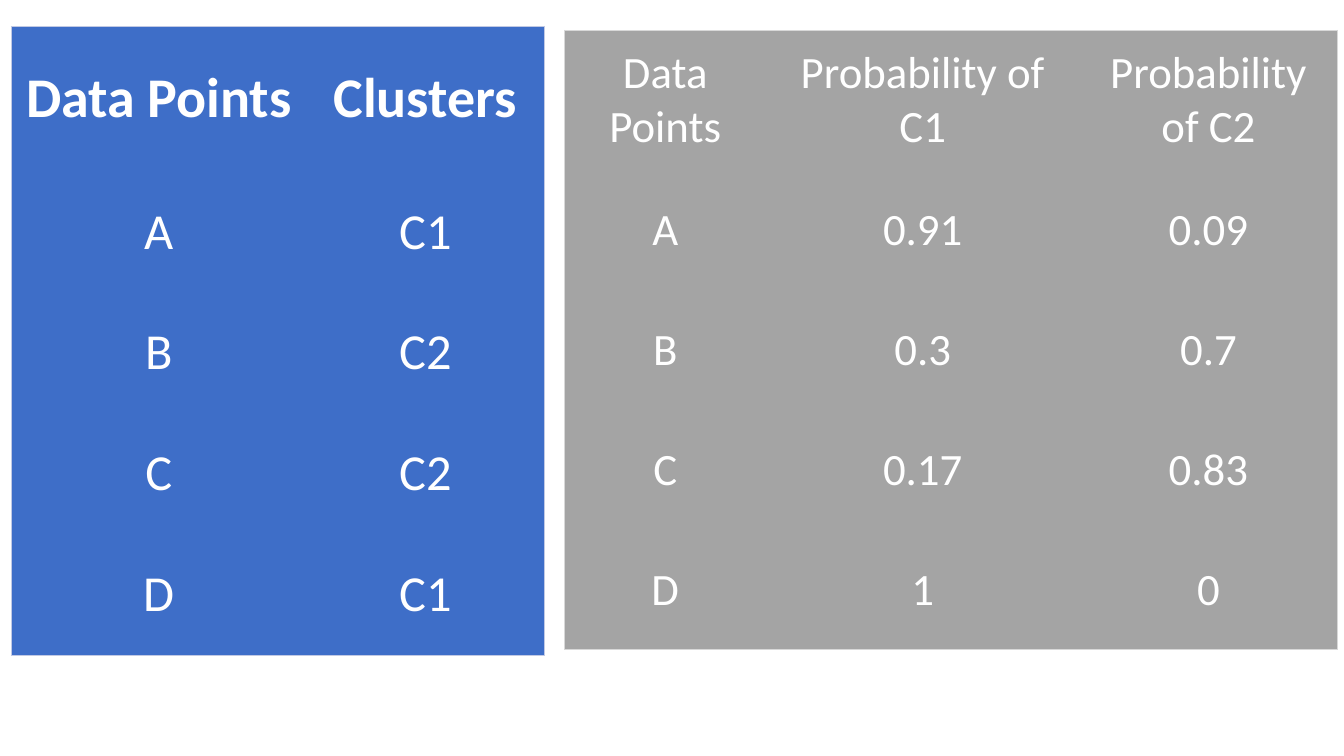
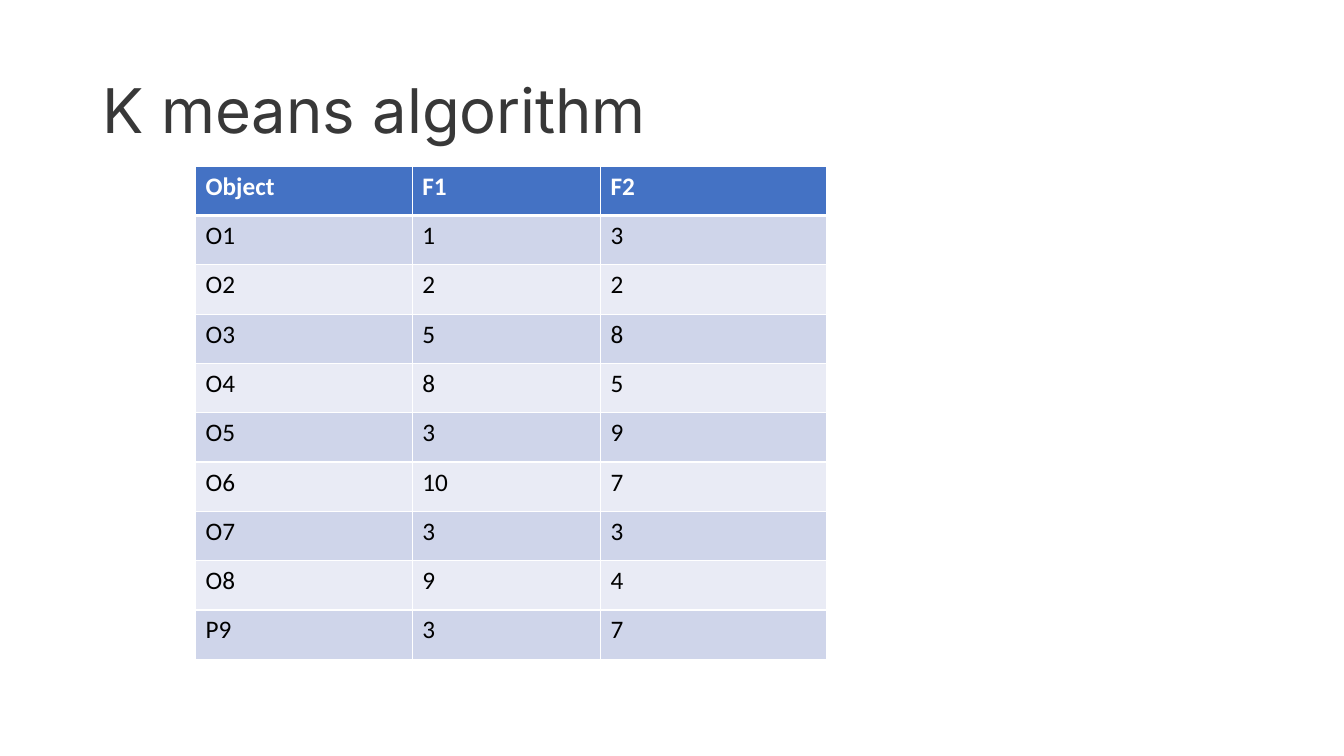
"""Build two slides of clustering tables on a grid of 100 columns and 75 rows."""
import lxml.etree
import pptx
import pptx.dml.color
import pptx.enum.text
import pptx.oxml.ns
import pptx.util

RGBColor = pptx.dml.color.RGBColor
Align = pptx.enum.text.PP_ALIGN
Anchor = pptx.enum.text.MSO_ANCHOR

WHITE = RGBColor(0xFF, 0xFF, 0xFF)
BLACK = RGBColor(0x00, 0x00, 0x00)
CHARCOAL = RGBColor(0x38, 0x38, 0x38)
CLUSTER_BLUE = RGBColor(0x3E, 0x6E, 0xC8)
CLUSTER_EDGE = RGBColor(0xC1, 0xC9, 0xE4)
PROBABILITY_GREY = RGBColor(0xA4, 0xA4, 0xA4)
PROBABILITY_EDGE = RGBColor(0xD8, 0xD8, 0xD8)
HEADER_BLUE = RGBColor(0x44, 0x72, 0xC4)
BANDS = (RGBColor(0xCF, 0xD5, 0xEA), RGBColor(0xE9, 0xEB, 0xF5))

BODY_FONT = "Calibri"
TITLE_FONT = "Inter"
PLAIN_STYLE = "{2D5ABB26-0587-4C30-8999-92F81FD0307C}"
TITLE_ONLY, BLANK = 5, 6
COLUMN = pptx.util.Inches(13.333) / 100
ROW = pptx.util.Inches(7.5) / 75

CLUSTERS = [
    ("Data Points", "Clusters"),
    ("A", "C1"), ("B", "C2"), ("C", "C2"), ("D", "C1"),
]
PROBABILITIES = [
    ("Data Points", "Probability of C1", "Probability of C2"),
    ("A", "0.91", "0.09"), ("B", "0.3", "0.7"),
    ("C", "0.17", "0.83"), ("D", "1", "0"),
]
OBJECTS = [
    ("Object", "F1", "F2"),
    ("O1", "1", "3"), ("O2", "2", "2"), ("O3", "5", "8"),
    ("O4", "8", "5"), ("O5", "3", "9"), ("O6", "10", "7"),
    ("O7", "3", "3"), ("O8", "9", "4"), ("P9", "3", "7"),
]


def across(columns):
    """Return the length of a number of grid columns."""
    return pptx.util.Emu(round(columns * COLUMN))


def down(rows):
    """Return the length of a number of grid rows."""
    return pptx.util.Emu(round(rows * ROW))


def write(frame, text, *, size, color, font=BODY_FONT, bold=False,
          align=Align.LEFT, spacing=1.0):
    """Put one formatted paragraph into a text frame."""
    para = frame.paragraphs[0]
    para.alignment = align
    para.line_spacing = spacing
    span = para.add_run()
    span.text = text
    span.font.name = font
    span.font.size = pptx.util.Pt(size)
    span.font.bold = bold
    span.font.color.rgb = color


def set_borders(cell, color, widths):
    """Draw the left, right, top and bottom borders; width 0 means none."""
    properties = cell._tc.get_or_add_tcPr()
    qn = pptx.oxml.ns.qn
    for index, (side, width) in enumerate(zip("LRTB", widths)):
        line = lxml.etree.Element(qn(f"a:ln{side}"))
        properties.insert(index, line)
        if width:
            line.set("w", str(pptx.util.Pt(width)))
            fill = lxml.etree.SubElement(line, qn("a:solidFill"))
            lxml.etree.SubElement(fill, qn("a:srgbClr")).set("val", str(color))
        else:
            lxml.etree.SubElement(line, qn("a:noFill"))


def add_grid(page, data, left, top, widths, heights):
    """Add an unstyled table with the given column and row sizes."""
    table = page.shapes.add_table(
        len(data), len(widths), across(left), down(top),
        across(sum(widths)), down(sum(heights))).table
    table._tbl.tblPr.find(pptx.oxml.ns.qn("a:tableStyleId")).text = PLAIN_STYLE
    table.first_row = table.horz_banding = False
    for column, width in zip(table.columns, widths):
        column.width = across(width)
    for row, height in zip(table.rows, heights):
        row.height = down(height)
    return table


def add_panel(page, data, left, top, widths, heights, *, fill, edge, size,
              header_size, header_bold=False):
    """Add a centred table of one colour with an outer border only."""
    table = add_grid(page, data, left, top, widths, heights)
    last_row, last_column = len(data) - 1, len(widths) - 1
    for r, values in enumerate(data):
        for c, text in enumerate(values):
            cell = table.cell(r, c)
            cell.fill.solid()
            cell.fill.fore_color.rgb = fill
            cell.vertical_anchor = Anchor.MIDDLE
            cell.margin_top = cell.margin_bottom = pptx.util.Inches(0.15)
            write(cell.text_frame, text, color=WHITE, align=Align.CENTER,
                  size=size if r else header_size,
                  bold=header_bold and r == 0)
            outer = (c == 0, c == last_column, r == 0, r == last_row)
            set_borders(cell, edge, [0.5 * side for side in outer])


def add_banded_table(page, data, left, top, widths, heights):
    """Add a table with a blue header, alternating bands and white rules."""
    table = add_grid(page, data, left, top, widths, heights)
    for r, values in enumerate(data):
        header = r == 0
        for c, text in enumerate(values):
            cell = table.cell(r, c)
            cell.fill.solid()
            cell.fill.fore_color.rgb = HEADER_BLUE if header else BANDS[(r - 1) % 2]
            write(cell.text_frame, text, size=18, bold=header,
                  color=WHITE if header else BLACK)
            set_borders(cell, WHITE, (1, 1, 3 if r == 1 else 1, 3 if header else 1))


def set_title(page, text):
    """Place and format the title placeholder."""
    title = page.shapes.title
    title.left, title.top = across(6.9), down(4)
    title.width, title.height = across(86.25), down(14.5)
    frame = title.text_frame
    frame.word_wrap = True
    frame.auto_size = pptx.enum.text.MSO_AUTO_SIZE.NONE
    frame.vertical_anchor = Anchor.MIDDLE
    write(frame, text, size=44, color=CHARCOAL, font=TITLE_FONT, spacing=0.9)


def main():
    """Build and save the deck."""
    deck = pptx.Presentation()
    deck.slide_width, deck.slide_height = across(100), down(75)

    page = deck.slides.add_slide(deck.slide_layouts[BLANK])
    add_panel(page, CLUSTERS, 0.82, 2.6, [21.98, 17.7], [14.4] + [12] * 4,
              fill=CLUSTER_BLUE, edge=CLUSTER_EDGE, size=36,
              header_size=40, header_bold=True)
    add_panel(page, PROBABILITIES, 42, 3, [15, 23.32, 19.2],
              [13.5] + [11.9] * 4, fill=PROBABILITY_GREY,
              edge=PROBABILITY_EDGE, size=32, header_size=32)

    page = deck.slides.add_slide(deck.slide_layouts[TITLE_ONLY])
    set_title(page, "K means algorithm")
    add_banded_table(page, OBJECTS, 14.55, 16.5, [16.12, 14.02, 16.8],
                     [4.89] * len(OBJECTS))

    deck.save("out.pptx")


if __name__ == "__main__":
    main()
